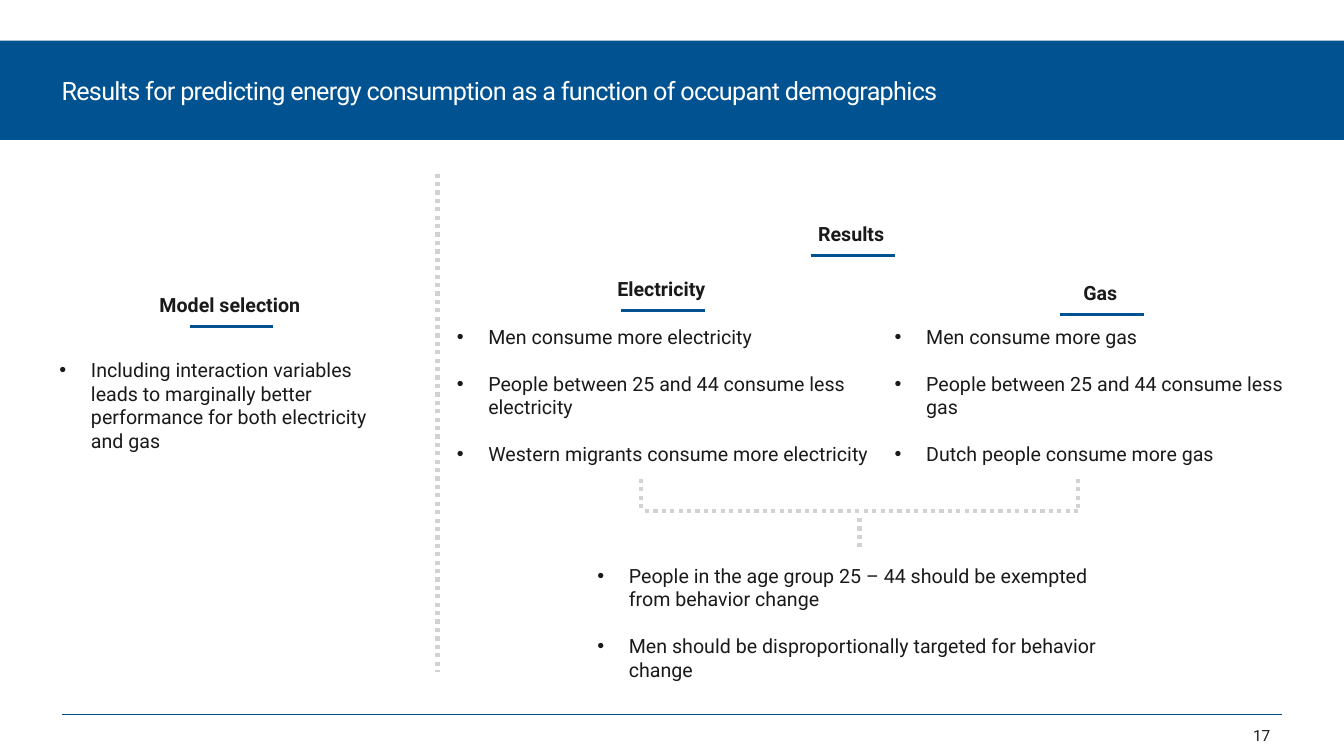
from lxml import etree
from pptx import Presentation
from pptx.dml.color import RGBColor
from pptx.enum.dml import MSO_LINE
from pptx.enum.shapes import MSO_CONNECTOR, MSO_SHAPE
from pptx.enum.text import MSO_ANCHOR, PP_ALIGN
from pptx.oxml.ns import qn
from pptx.util import Pt

STRAIGHT = MSO_CONNECTOR.STRAIGHT
DOTTED = MSO_LINE.ROUND_DOT
RECTANGLE = MSO_SHAPE.RECTANGLE
MIDDLE, TOP = MSO_ANCHOR.MIDDLE, MSO_ANCHOR.TOP
LEFT, CENTER, RIGHT = PP_ALIGN.LEFT, PP_ALIGN.CENTER, PP_ALIGN.RIGHT
BLUE, GRAY, INK, WHITE = "015291", "D2D2D2", "1A1A1A", "FFFFFF"
color = RGBColor.from_string

presentation = Presentation()
presentation.slide_width, presentation.slide_height = Pt(960), Pt(540)
slide = presentation.slides.add_slide(presentation.slide_layouts[6])


def add_text(left, top, width, height, lines, size=14, ink=INK, bold=False,
             align=LEFT, anchor=TOP, bullets=False):
    box = slide.shapes.add_textbox(Pt(left), Pt(top), Pt(width), Pt(height))
    frame = box.text_frame
    frame.word_wrap = True
    frame.vertical_anchor = anchor
    frame.margin_left = frame.margin_right = frame.margin_top = frame.margin_bottom = 0
    for index, line in enumerate(lines):
        paragraph = frame.paragraphs[0] if index == 0 else frame.add_paragraph()
        paragraph.text = line
        paragraph.alignment = align
        if index:
            paragraph.space_before = Pt(16.7)
        if bullets:
            properties = paragraph._p.get_or_add_pPr()
            properties.set("marL", str(Pt(22.5)))
            properties.set("indent", str(-Pt(22.5)))
            etree.SubElement(properties, qn("a:buFont")).set("typeface", "Arial")
            etree.SubElement(properties, qn("a:buChar")).set("char", "•")
        font = paragraph.font
        font.name, font.size, font.bold = "Roboto", Pt(size), bold
        font.color.rgb = color(ink)
    return frame


def add_line(x1, y1, x2, y2, ink, width, dash=None):
    connector = slide.shapes.add_connector(STRAIGHT, Pt(x1), Pt(y1), Pt(x2), Pt(y2))
    connector.line.color.rgb = color(ink)
    connector.line.width = Pt(width)
    if dash:
        connector.line.dash_style = dash
    etree.SubElement(connector._element.spPr, qn("a:effectLst"))


# Title band
band = slide.shapes.add_shape(RECTANGLE, 0, Pt(29), Pt(960), Pt(71))
band.shadow.inherit = False
band.fill.solid()
band.fill.fore_color.rgb = color(BLUE)
band.line.fill.background()
title = add_text(44, 37, 873, 55,
                 ["Results for predicting energy consumption as a function of occupant demographics"],
                 size=18, ink=WHITE, anchor=MIDDLE)
title.paragraphs[0].runs[0]._r.get_or_add_rPr().set("spc", "-50")

# Footer
add_line(44, 510.3, 916, 510.3, BLUE, 1)
add_text(880, 511, 27.5, 28, ["17"], size=11, align=RIGHT, anchor=MIDDLE)

# Underlined headings
headings = [
    ("Model selection", 50.2, 209.5),
    ("Results", 494, 158.3),
    ("Electricity", 358.4, 198),
    ("Gas", 672, 200.5),
]
for heading, left, top in headings:
    add_text(left, top, 228, 17, [heading], bold=True, align=CENTER)
    add_line(left + 85.5, top + 24, left + 145, top + 24, BLUE, 2.25)

# Bulleted findings
findings = [
    (42.5, 255.8, 243, 68, [
        "Including interaction variables leads to marginally better performance "
        "for both electricity and gas"]),
    (326.3, 232, 295, 101.5, [
        "Men consume more electricity",
        "People between 25 and 44 consume less electricity",
        "Western migrants consume more electricity"]),
    (639, 232, 278, 101.5, [
        "Men consume more gas",
        "People between 25 and 44 consume less gas",
        "Dutch people consume more gas"]),
    (426.7, 402.7, 380, 85, [
        "People in the age group 25 – 44 should be exempted from behavior change",
        "Men should be disproportionally targeted for behavior change"]),
]
for left, top, width, height, lines in findings:
    add_text(left, top, width, height, lines, bullets=True)

# Dotted divider and bracket joining the two result lists
dotted_lines = [
    (312.6, 124, 312.6, 480),
    (457.8, 342, 457.8, 365),
    (770.2, 342, 770.2, 365),
    (770.2, 365, 457.8, 365),
    (614, 370, 614, 393),
]
for ends in dotted_lines:
    add_line(*ends, GRAY, 3, DOTTED)

presentation.save("out.pptx")
